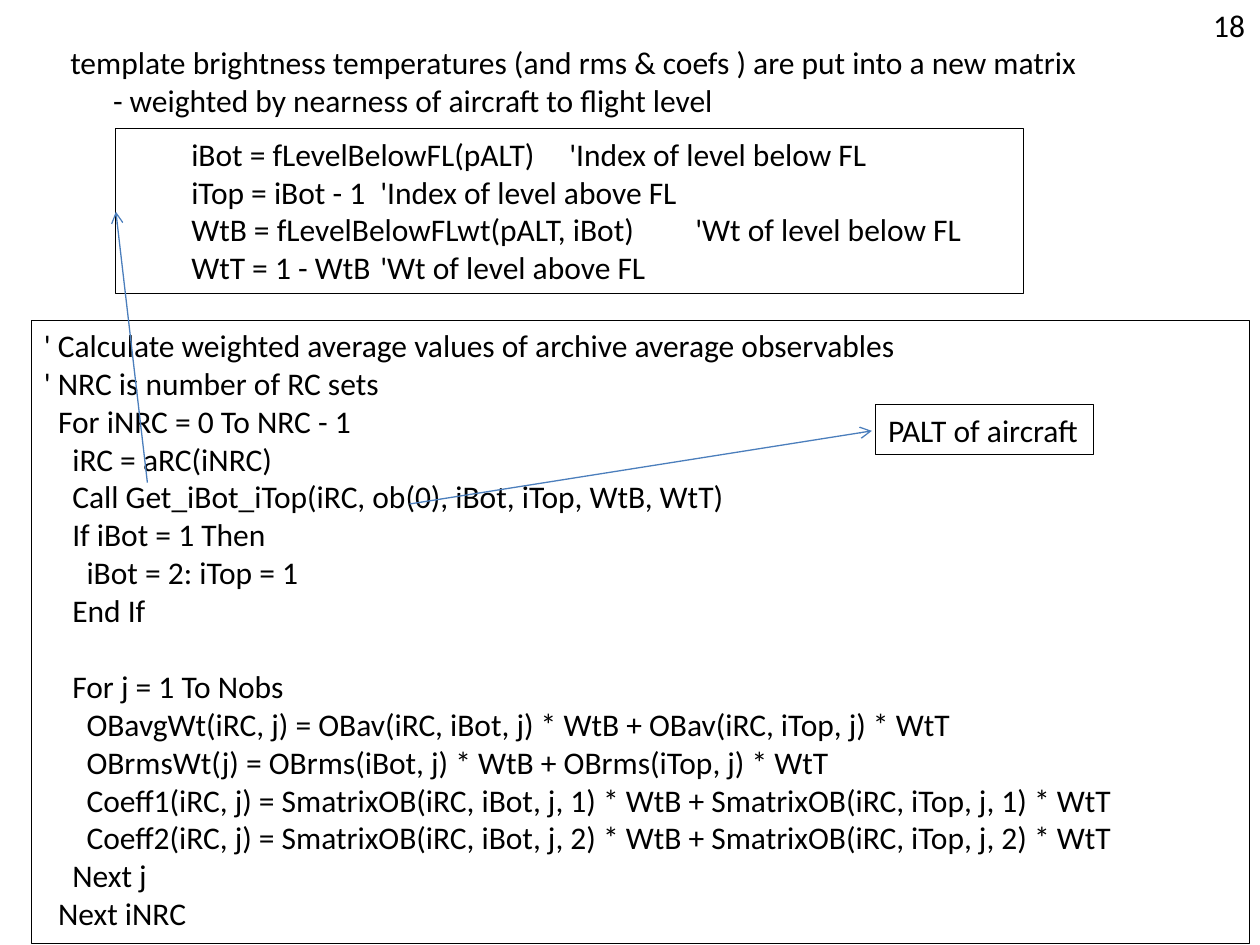
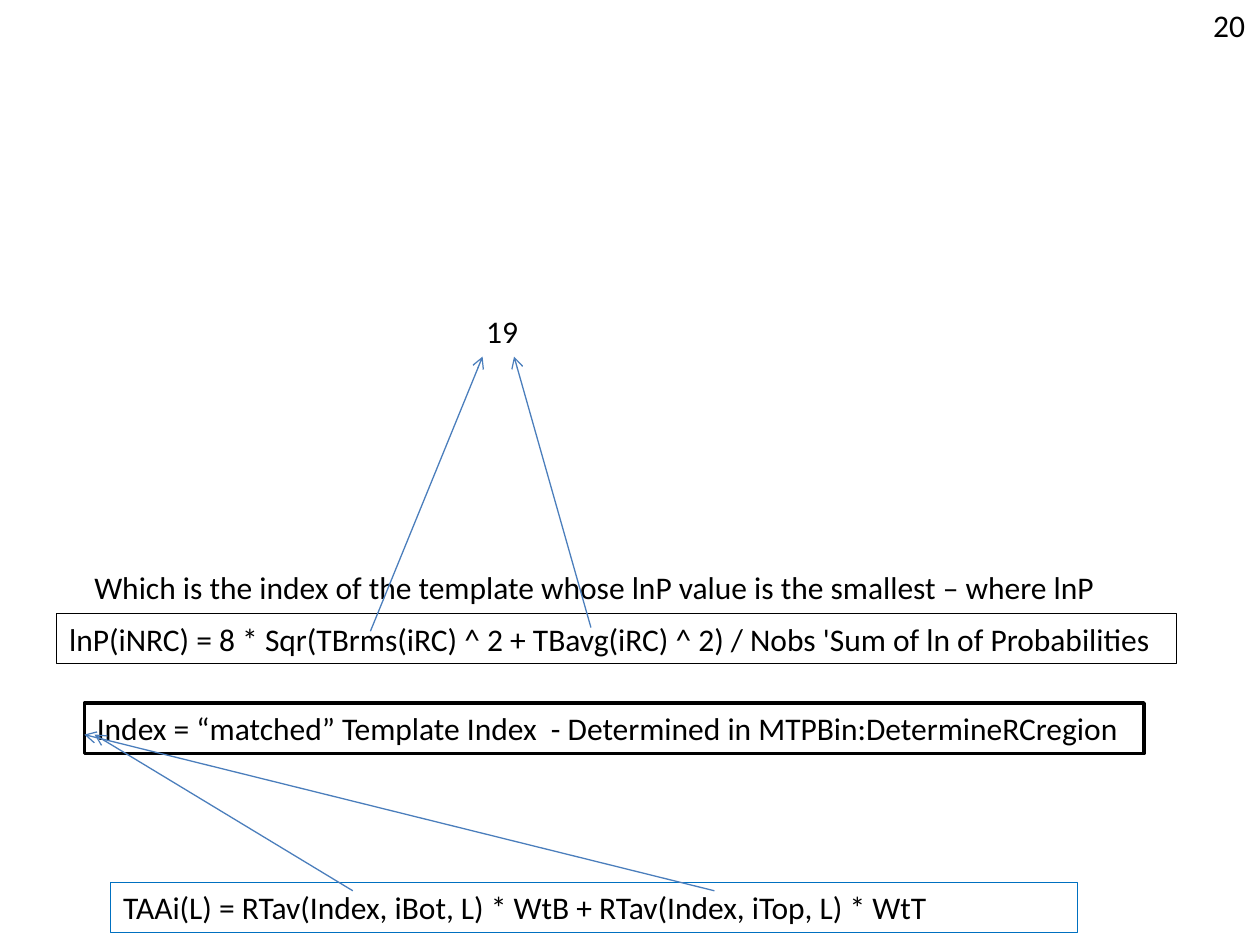
from dataclasses import dataclass
from typing import Optional

from lxml import etree
from pptx import Presentation
from pptx.dml.color import RGBColor
from pptx.enum.shapes import MSO_CONNECTOR, MSO_SHAPE
from pptx.enum.text import MSO_ANCHOR, MSO_AUTO_SIZE, PP_ALIGN
from pptx.oxml.ns import qn
from pptx.util import Inches, Pt

STRAIGHT = MSO_CONNECTOR.STRAIGHT
RECT = MSO_SHAPE.RECTANGLE
TOP, LEFT = MSO_ANCHOR.TOP, PP_ALIGN.LEFT
FIT = MSO_AUTO_SIZE.SHAPE_TO_FIT_TEXT

BLACK = RGBColor(0x00, 0x00, 0x00)
BLUE = RGBColor(0x00, 0x70, 0xC0)
ARROW_BLUE = RGBColor(0x4B, 0x7E, 0xBC)

FONT = {"name": "Calibri", "size": Pt(18)}
FRAME = {"word_wrap": True, "auto_size": FIT, "vertical_anchor": TOP}
ROW_H = 0.4            # height of a one-line box
SPACE_W = 0.0565       # one column of code indent
LINE_GAP = Pt(22)      # one line of text


@dataclass
class Line:
    """One paragraph: indent in columns, tab stops in inches, gap above."""
    text: str
    indent: int = 0
    tabs: tuple[float, ...] = ()
    gap: bool = False


@dataclass
class Box:
    """Text at a place, framed when a line colour is given."""
    x: float
    y: float
    w: float
    lines: list[Line]
    h: float = ROW_H
    line: Optional[RGBColor] = None
    weight: float = 0.5


@dataclass
class Arrow:
    """Arrow whose head is at the second point."""
    start: tuple[float, float]
    end: tuple[float, float]


def add_line(p, line: Line) -> None:
    """Write one paragraph with its indent, tab stops and font."""
    p.alignment = LEFT
    if line.gap:
        p.space_before = LINE_GAP
    pPr = p._p.get_or_add_pPr()
    pPr.set("marL", str(Inches(line.indent * SPACE_W)))
    pPr.set("indent", "0")
    if line.tabs:
        tab_list = etree.SubElement(pPr, qn("a:tabLst"))
        for pos in line.tabs:
            etree.SubElement(tab_list, qn("a:tab"), pos=str(Inches(pos)), algn="l")
    r = p.add_run()
    r.text = line.text
    for key, value in FONT.items():
        setattr(r.font, key, value)
    r.font.color.rgb = BLACK


def add_box(s, box: Box) -> None:
    """Draw a text box or a framed rectangle with its lines."""
    place = [Inches(v) for v in (box.x, box.y, box.w, box.h)]
    if box.line is None:
        sp = s.shapes.add_textbox(*place)
    else:
        sp = s.shapes.add_shape(RECT, *place)
        sp.shadow.inherit = False
        sp.fill.background()
        sp.line.color.rgb = box.line
        sp.line.width = Pt(box.weight)
    tf = sp.text_frame
    for key, value in FRAME.items():
        setattr(tf, key, value)
    for i, line in enumerate(box.lines):
        add_line(tf.add_paragraph() if i else tf.paragraphs[0], line)


def add_arrow(s, arrow: Arrow) -> None:
    """Draw a thin blue arrow without shadow."""
    points = [Inches(v) for v in arrow.start + arrow.end]
    cxn = s.shapes.add_connector(STRAIGHT, *points)
    cxn.line.color.rgb = ARROW_BLUE
    cxn.line.width = Pt(0.75)
    etree.SubElement(cxn.line._get_or_add_ln(), qn("a:tailEnd"), type="arrow")
    etree.SubElement(cxn._element.spPr, qn("a:effectLst"))


def add_slide(prs, number: str, items: list) -> None:
    """Add a blank slide with its page number, boxes and arrows."""
    s = prs.slides.add_slide(prs.slide_layouts[6])
    for item in items + [Box(9.53, 0, 0.46, [Line(number)])]:
        if isinstance(item, Arrow):
            add_arrow(s, item)
        else:
            add_box(s, item)


WEIGHT_LINES = [
    Line("\tiBot = fLevelBelowFL(pALT)\t'Index of level below FL", tabs=(0.06, 3.28)),
    Line("\tiTop = iBot - 1\t'Index of level above FL", tabs=(0.11, 2.62)),
    Line("\tWtB = fLevelBelowFLwt(pALT, iBot)\t'Wt of level below FL", tabs=(0.11, 3.74)),
    Line("\tWtT = 1 - WtB\t'Wt of level above FL", tabs=(0.11, 2.77)),
]

AVERAGE_LINES = [
    Line("' Calculate weighted average values of archive average observables"),
    Line("' NRC is number of RC sets"),
    Line("For iNRC = 0 To NRC - 1", 2),
    Line("iRC = aRC(iNRC)", 4),
    Line("Call Get_iBot_iTop(iRC, ob(0), iBot, iTop, WtB, WtT)", 4),
    Line("If iBot = 1 Then", 4),
    Line("iBot = 2: iTop = 1", 6),
    Line("End If", 4),
    Line("For j = 1 To Nobs", 4, gap=True),
    Line("OBavgWt(iRC, j) = OBav(iRC, iBot, j) * WtB + OBav(iRC, iTop, j) * WtT", 6),
    Line("OBrmsWt(j) = OBrms(iBot, j) * WtB + OBrms(iTop, j) * WtT", 6),
    *[Line(f"Coeff{n}(iRC, j) = SmatrixOB(iRC, iBot, j, {n}) * WtB"
           f" + SmatrixOB(iRC, iTop, j, {n}) * WtT", 6) for n in (1, 2)],
    Line("Next j", 4),
    Line("Next iNRC", 2),
]

WEIGHTING = [
    Box(0.46, 0.29, 8.34, [
        Line("template brightness temperatures (and rms & coefs ) are put into a new matrix"),
        Line("- weighted by nearness of aircraft to flight level", 6)], h=0.71),
    Box(0.92, 1.02, 7.2, WEIGHT_LINES, h=1.31, line=BLACK),
    Box(0.25, 2.54, 9.67, AVERAGE_LINES, h=4.95, line=BLACK),
    Arrow((1.17, 3.83), (0.92, 1.68)),
    Arrow((3.25, 4), (6.92, 3.42)),
    Box(6.95, 3.21, 1.73, [Line("PALT of aircraft")], line=BLACK),
]

MATCHING = [
    Box(0.88, 7, 7.67, [
        Line("TAAi(L) = RTav(Index, iBot, L) * WtB + RTav(Index, iTop, L) * WtT")], line=BLUE),
    Box(0.67, 5.58, 8.41, [
        Line("Index = “matched” Template Index  - Determined in MTPBin:DetermineRCregion")],
        line=BLACK, weight=2),
    Arrow((2.8, 7.07), (0.75, 5.83)),
    Arrow((5.67, 7.07), (0.67, 5.83)),
    Box(0.45, 4.87, 8.89, [
        Line("lnP(iNRC) = 8 * Sqr(TBrms(iRC) ^ 2 + TBavg(iRC) ^ 2) / Nobs "
             "'Sum of ln of Probabilities")], line=BLACK),
    Box(0.65, 4.46, 8.24, [
        Line("Which is the index of the template whose lnP value is the smallest – where lnP")]),
    Arrow((4.69, 4.98), (4.08, 2.83)),
    Arrow((2.94, 5.01), (3.83, 2.83)),
    Box(3.76, 2.43, 0.46, [Line("19")]),
]

prs = Presentation()
prs.slide_width, prs.slide_height = Inches(10), Inches(7.5)
add_slide(prs, "18", WEIGHTING)
add_slide(prs, "20", MATCHING)
prs.save("out.pptx")
